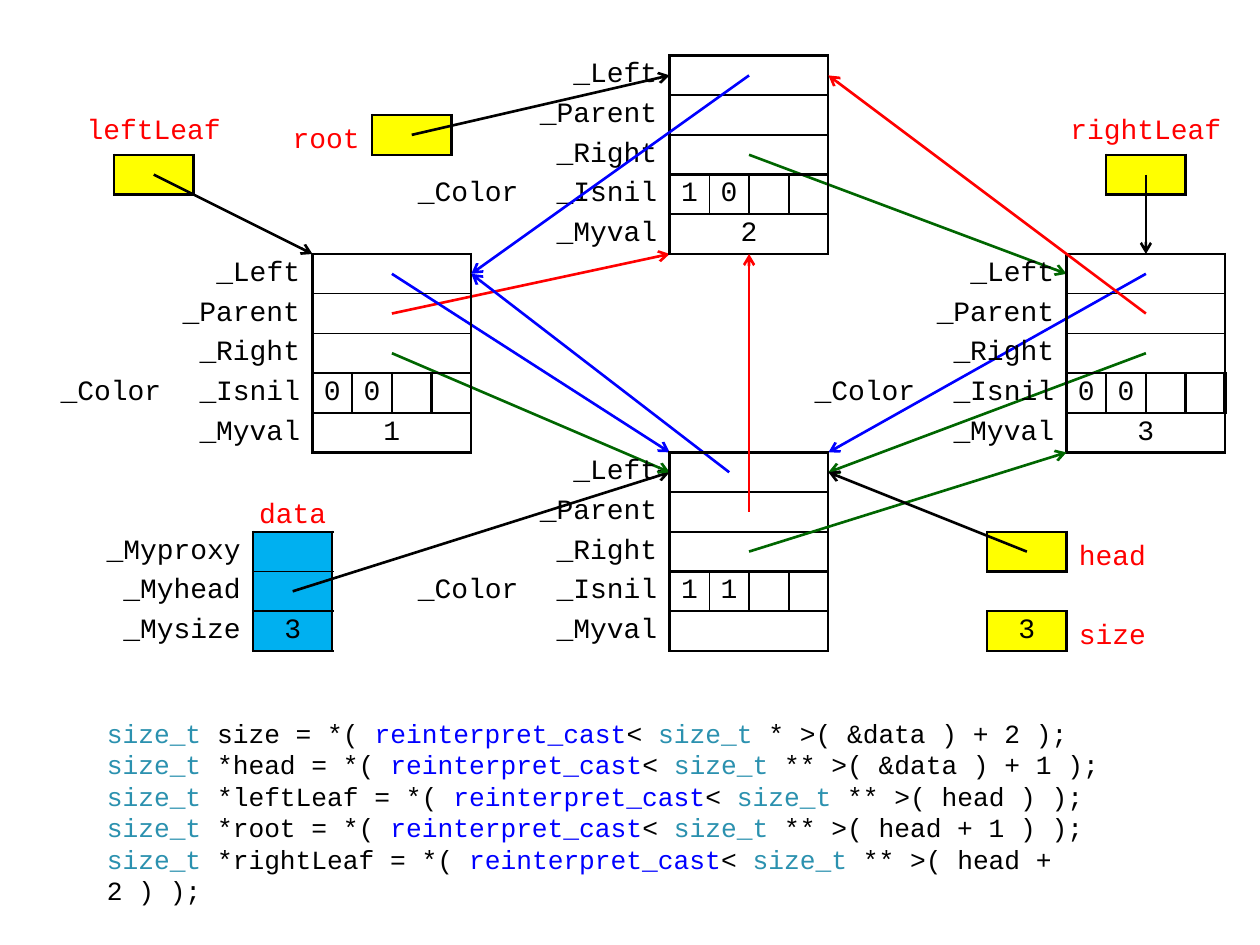
from lxml import etree
from pptx import Presentation
from pptx.dml.color import RGBColor
from pptx.enum.shapes import MSO_CONNECTOR
from pptx.enum.text import MSO_ANCHOR, MSO_AUTO_SIZE, PP_ALIGN
from pptx.oxml.ns import qn
from pptx.util import Cm, Pt

STRAIGHT = MSO_CONNECTOR.STRAIGHT
LEFT, CENTER, RIGHT = PP_ALIGN.LEFT, PP_ALIGN.CENTER, PP_ALIGN.RIGHT
MIDDLE, BOTTOM = MSO_ANCHOR.MIDDLE, MSO_ANCHOR.BOTTOM
NO_AUTOFIT = MSO_AUTO_SIZE.NONE

COLORS = {
    "black": "000000", "red": "FF0000", "blue": "0000FF", "green": "006600",
    "type": "2B91AF", "yellow": "FFFF00", "cyan": "00B0F0",
}
PLAIN_TABLE = "{2D5ABB26-0587-4C30-8999-92F81FD0307C}"
THIN, THICK = 1, 1.5
UNIT = 0.8  # height of a row and width of a flag, in cm
FIELD_WIDTH = 4 * UNIT
LABEL_WIDTH = 2.8

# name: (left and top of the fields, flags, value, widths of the flag borders)
NODES = {
    "left": (6.3, 5.12, "00", "1", (THICK, THICK, THIN, THICK, THICK)),
    "top": (13.5, 1.12, "10", "2", (THICK, THIN, THICK, THICK, THICK)),
    "right": (21.5, 5.12, "00", "3", (2.25, THIN, THICK, THICK, 2.25)),
    "bottom": (13.5, 9.12, "11", "", (THICK, THIN, THIN, THICK, THICK)),
}
# name: (left, top, value)
BOXES = {
    "leftLeaf": (2.3, 3.12, ""), "root": (7.5, 2.32, ""),
    "rightLeaf": (22.3, 3.12, ""), "head": (19.9, 10.72, ""),
    "size": (19.9, 12.32, "3"),
}
# text, left, top, width, height, alignment, anchor, (side, top, bottom) margins
LABELS = [
    ("leftLeaf", 1.1, 1.92, 4, 1.2, CENTER, BOTTOM, (0, 0, 0.2)),
    ("rightLeaf", 21.1, 1.92, 4, 1.2, CENTER, BOTTOM, (0, 0, 0.2)),
    ("root", 5.5, 2.32, 2, UNIT, RIGHT, MIDDLE, (0.25, 0.1, 0)),
    ("head", 21.5, 10.72, 2, UNIT, LEFT, MIDDLE, (0.25, 0.1, 0)),
    ("size", 21.5, 12.32, 2, UNIT, LEFT, MIDDLE, (0.25, 0.1, 0)),
    ("data", 5.1, 9.92, 1.6, UNIT, CENTER, MIDDLE, (0, 0, 0)),
]
# variable, pointer, argument
CODE = [
    ("size", "*", "&data ) + 2 );"),
    ("*head", "**", "&data ) + 1 );"),
    ("*leftLeaf", "**", "head ) );"),
    ("*root", "**", "head + 1 ) );"),
    ("*rightLeaf", "**", "head + 2 ) );"),
]


def in_node(name, across, row):
    """Point in a node's fields: share of the width, rows from the top."""
    left, top = NODES[name][:2]
    return left + across * FIELD_WIDTH, top + row * UNIT


def in_box(name):
    """Centre of a pointer box."""
    left, top = BOXES[name][:2]
    return left + UNIT, top + UNIT / 2


ARROWS_BEHIND = [
    ((5.9, 11.92), in_node("bottom", 0, 0.5), "black"),
    (in_node("top", 0.5, 2.5), in_node("right", 0, 0.5), "green"),
    (in_node("left", 0.5, 1.5), in_node("top", 0, 5), "red"),
    (in_node("bottom", 0.375, 0.5), in_node("left", 1, 0.5), "blue"),
    (in_node("left", 0.5, 0.5), in_node("bottom", 0, 0), "blue"),
    (in_node("left", 0.5, 2.5), in_node("bottom", 0, 0.5), "green"),
    (in_node("right", 0.5, 0.5), in_node("bottom", 1, 0), "blue"),
    (in_node("right", 0.5, 2.5), in_node("bottom", 1, 0.5), "green"),
    (in_box("rightLeaf"), in_node("right", 0.5, 0), "black"),
]
ARROWS_FRONT = [
    (in_node("bottom", 0.5, 1.5), in_node("top", 0.5, 5), "red"),
    (in_node("bottom", 0.5, 2.5), in_node("right", 0, 5), "green"),
    (in_box("leftLeaf"), in_node("left", 0, 0), "black"),
    (in_box("head"), in_node("bottom", 1, 0.5), "black"),
    (in_box("root"), in_node("top", 0, 0.5), "black"),
    (in_node("right", 0.5, 1.5), in_node("top", 1, 0.5), "red"),
    (in_node("top", 0.5, 0.5), in_node("left", 1, 0.5), "blue"),
]


class Diagram:
    def __init__(self, slide):
        self.slide = slide
        self.font = {"name": "Courier New", "size": Pt(16)}

    def text_run(self, paragraph, text, color="black", **changes):
        run = paragraph.add_run()
        run.text = text
        for name, value in {**self.font, **changes}.items():
            setattr(run.font, name, value)
        run.font.color.rgb = RGBColor.from_string(COLORS[color])

    def label(self, text, left, top, width, height, align, anchor, margins):
        shape = self.slide.shapes.add_textbox(Cm(left), Cm(top), Cm(width), Cm(height))
        side, above, below = (Cm(margin) for margin in margins)
        settings = {"word_wrap": True, "vertical_anchor": anchor,
                    "margin_left": side, "margin_right": side,
                    "margin_top": above, "margin_bottom": below}
        for name, value in settings.items():
            setattr(shape.text_frame, name, value)
        paragraph = shape.text_frame.paragraphs[0]
        paragraph.alignment = align
        self.text_run(paragraph, text, "red")

    def arrow(self, start, end, color):
        points = [Cm(value) for value in (*start, *end)]
        connector = self.slide.shapes.add_connector(STRAIGHT, *points)
        connector.line.color.rgb = RGBColor.from_string(COLORS[color])
        connector.line.width = Pt(1.5)
        properties = connector._element.spPr
        etree.SubElement(properties.find(qn("a:ln")), qn("a:tailEnd"), type="arrow")
        etree.SubElement(properties, qn("a:effectLst"))

    def table(self, left, top, widths, row_count):
        """Add an unstyled table whose cells are all empty and unfilled."""
        frame = self.slide.shapes.add_table(
            row_count, len(widths), Cm(left), Cm(top), Cm(sum(widths)), Cm(row_count * UNIT))
        table = frame.table
        table.first_row = table.horz_banding = False
        table._tbl.tblPr.find(qn("a:tableStyleId")).text = PLAIN_TABLE
        for column, width in zip(table.columns, widths):
            column.width = Cm(width)
        for row in table.rows:
            row.height = Cm(UNIT)
        for cell in table.iter_cells():
            cell.margin_top = cell.margin_bottom = 0
            cell.fill.background()
        return table

    def cell(self, cell, text="", align=CENTER, margin=0.2, fill=None, borders=None):
        """Fill in a cell; borders are widths in the order left, right, top, bottom."""
        cell.margin_left = cell.margin_right = Cm(margin)
        cell.vertical_anchor = MIDDLE
        paragraph = cell.text_frame.paragraphs[0]
        paragraph.alignment = align
        if text:
            self.text_run(paragraph, text)
        for index, width in enumerate(borders or ()):
            line = etree.Element(qn("a:ln" + "LRTB"[index]), w=str(int(Pt(width))))
            solid = etree.SubElement(line, qn("a:solidFill"))
            etree.SubElement(solid, qn("a:srgbClr"), val=COLORS["black"])
            cell._tc.tcPr.insert(index, line)
        if fill:
            cell.fill.solid()
            cell.fill.fore_color.rgb = RGBColor.from_string(COLORS[fill])

    def name_cell(self, cell, text):
        self.cell(cell, text, RIGHT, 0.25)

    def box(self, left, top, value):
        table = self.table(left, top, [2 * UNIT], 1)
        self.cell(table.cell(0, 0), value, fill="yellow", borders=[THICK] * 4)

    def data(self, left, top):
        table = self.table(left, top, [3.6, 2 * UNIT], 3)
        rows = [("_Myproxy", "", THICK, THIN), ("_Myhead", "", THIN, THIN),
                ("_Mysize", "3", THIN, THICK)]
        for row, (name, value, above, below) in enumerate(rows):
            self.name_cell(table.cell(row, 0), name)
            self.cell(table.cell(row, 1), value, fill="cyan",
                      borders=[THICK, THICK, above, below])

    def node(self, left, top, flags, value, edges):
        table = self.table(left - 2 * LABEL_WIDTH, top, [LABEL_WIDTH] * 2 + [UNIT] * 4, 5)
        rows = [("_Left", "", THICK, THIN), ("_Parent", "", THIN, THIN),
                ("_Right", "", THIN, THICK), None, ("_Myval", value, THICK, THICK)]
        for row, content in enumerate(rows):
            if content is None:
                self.name_cell(table.cell(row, 0), "_Color")
                self.name_cell(table.cell(row, 1), "_Isnil")
                for index in range(4):
                    self.cell(table.cell(row, index + 2), flags[index:index + 1],
                              borders=[edges[index], edges[index + 1], THICK, THICK])
                continue
            name, text, above, below = content
            table.cell(row, 0).merge(table.cell(row, 1))
            table.cell(row, 2).merge(table.cell(row, 5))
            self.name_cell(table.cell(row, 0), name)
            self.cell(table.cell(row, 2), text, borders=[THICK, THICK, above, below])

    def code(self, shape):
        for name, value in {"left": 1.9, "top": 14.33, "width": 21.6, "height": 3.6}.items():
            setattr(shape, name, Cm(value))
        frame = shape.text_frame
        frame.auto_size = NO_AUTOFIT
        for index, (variable, pointer, argument) in enumerate(CODE):
            paragraph = frame.add_paragraph() if index else frame.paragraphs[0]
            paragraph.line_spacing = Pt(18)
            paragraph.space_before = Pt(0)
            properties = paragraph._p.get_or_add_pPr()
            properties.set("marL", "0")
            properties.set("indent", "0")
            etree.SubElement(properties, qn("a:buNone"))
            for text, color in [("size_t", "type"), (f" {variable} = *( ", "black"),
                                ("reinterpret_cast", "blue"), ("< ", "black"),
                                ("size_t", "type"), (f" {pointer} >( {argument}", "black")]:
                self.text_run(paragraph, text, color, size=Pt(15))


def main():
    presentation = Presentation()
    presentation.slide_width, presentation.slide_height = Cm(25.4), Cm(19.05)
    slide = presentation.slides.add_slide(presentation.slide_layouts[1])
    title = slide.shapes.title._element
    title.getparent().remove(title)
    diagram = Diagram(slide)
    diagram.code(slide.placeholders[1])
    diagram.data(1.5, 10.72)
    for box in BOXES.values():
        diagram.box(*box)
    for arrow in ARROWS_BEHIND:
        diagram.arrow(*arrow)
    for node in NODES.values():
        diagram.node(*node)
    for label in LABELS:
        diagram.label(*label)
    for arrow in ARROWS_FRONT:
        diagram.arrow(*arrow)
    presentation.save("out.pptx")


if __name__ == "__main__":
    main()
